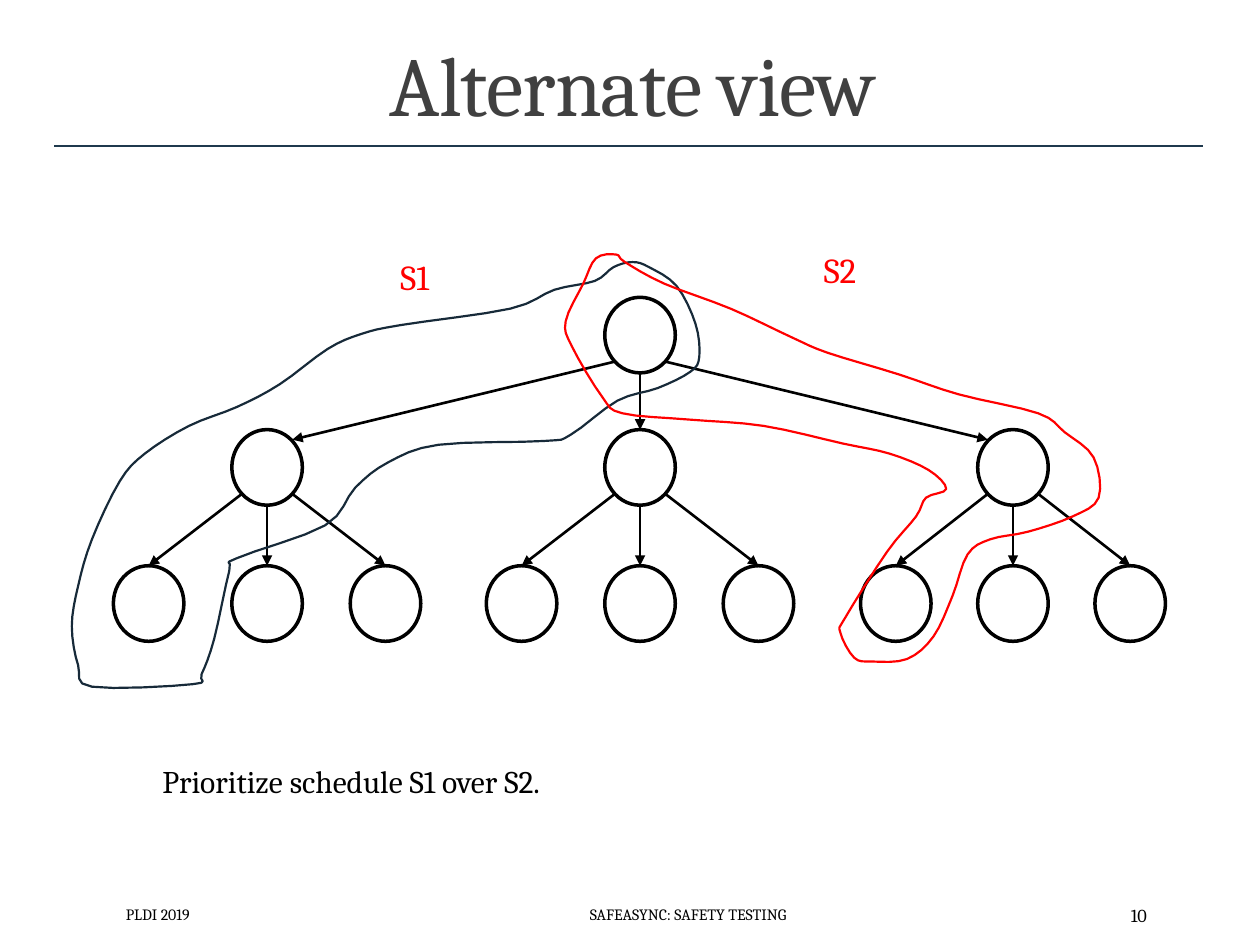
"""Builds a slide with a schedule tree and two outlined schedules."""
from lxml import etree
from pptx import Presentation
from pptx.dml.color import RGBColor as RGB
from pptx.enum.shapes import MSO_CONNECTOR as CONN, MSO_SHAPE as SHAPE
from pptx.enum.text import MSO_ANCHOR as ANCHOR, PP_ALIGN as ALIGN
from pptx.oxml.ns import qn
from pptx.util import Inches, Pt

INK = {"title": "404040", "text": "000000", "rule": "1F394D",
       "first": "172A39", "red": "FF0000"}
WIDE, HIGH = 0.56, 0.6
ROOT = (5.08, 2.66)
GAPS = {2.12: 0.94, 5.08: 0.94, 8.04: 0.93}
MID, LEAF = 3.71, 4.79
FIRST = [
    (5.02, 2.08), (4.87, 2.12), (4.72, 2.23), (4.4, 2.3), (4.05, 2.45),
    (3.18, 2.58), (2.87, 2.65), (2.6, 2.77), (2.22, 3.05), (1.88, 3.23),
    (1.5, 3.38), (1.15, 3.6), (0.95, 3.82), (0.73, 4.28), (0.62, 4.65),
    (0.57, 4.97), (0.62, 5.28), (0.73, 5.45), (1.53, 5.43), (1.6, 5.35),
    (1.7, 5.07), (1.82, 4.53), (1.88, 4.43), (2.58, 4.17), (2.82, 3.87),
    (3.08, 3.67), (3.48, 3.53), (4.32, 3.5), (4.53, 3.45), (4.9, 3.18),
    (5.22, 3.08), (5.48, 2.95), (5.55, 2.83), (5.52, 2.57), (5.37, 2.27),
    (5.15, 2.12)]
SECOND = [
    (4.89, 2.02), (4.73, 2.05), (4.63, 2.25), (4.49, 2.55), (4.54, 2.75),
    (4.78, 3.15), (4.94, 3.28), (5.47, 3.33), (6.06, 3.38), (6.69, 3.52),
    (7.06, 3.6), (7.37, 3.73), (7.51, 3.88), (7.35, 3.95), (7.27, 4.1),
    (7.04, 4.38), (6.71, 4.9), (6.67, 5.02), (6.78, 5.22), (6.92, 5.25),
    (7.2, 5.23), (7.41, 5.05), (7.56, 4.73), (7.68, 4.4), (7.86, 4.28),
    (8.16, 4.22), (8.51, 4.1), (8.72, 3.95), (8.68, 3.63), (8.45, 3.43),
    (8.24, 3.28), (7.61, 3.13), (7.13, 2.97), (6.57, 2.8), (6.29, 2.68),
    (5.8, 2.45), (5.27, 2.25), (4.96, 2.08)]


def text(slide, words, box, size, ink="text", align=ALIGN.LEFT,
         anchor=ANCHOR.MIDDLE, wrap=True):
    """Add a text box and return its paragraph."""
    frame = slide.shapes.add_textbox(*map(Inches, box)).text_frame
    frame.text = words
    frame.word_wrap = wrap
    frame.vertical_anchor = anchor
    para = frame.paragraphs[0]
    para.alignment = align
    font = para.runs[0].font
    font.name, font.size = "Cambria", Pt(size)
    font.color.rgb = RGB.from_string(INK[ink])
    return para


def stroke(shape, ink, width):
    """Set the line of a shape."""
    shape.line.color.rgb = RGB.from_string(INK[ink])
    shape.line.width = Pt(width)


def node(slide, x, y):
    """Add a hollow tree node centred on a point."""
    box = (x - WIDE / 2, y - HIGH / 2, WIDE, HIGH)
    oval = slide.shapes.add_shape(SHAPE.OVAL, *map(Inches, box))
    oval.shadow.inherit = False
    oval.fill.background()
    stroke(oval, "text", 2)


def line(slide, start, end, ink="text", width=1.5, arrow=True):
    """Add a straight line, with an arrowhead if wanted."""
    link = slide.shapes.add_connector(
        CONN.STRAIGHT, *map(Inches, (*start, *end)))
    stroke(link, ink, width)
    props = link._element.spPr
    if arrow:
        head = etree.SubElement(props.find(qn("a:ln")), qn("a:tailEnd"))
        head.set("type", "triangle")
    etree.SubElement(props, qn("a:effectLst"))


def smooth(points):
    """Yield points along a soft curve through the given ones."""
    count = len(points)
    for i in range(count):
        quad = [points[(i + k) % count] for k in (-1, 0, 1, 2)]
        for step in range(4):
            t = step / 4
            yield tuple(
                b + t * (c - a) / 2
                + t * t * (a - 2.5 * b + 2 * c - d / 2)
                + t ** 3 * (3 * (b - c) + d - a) / 2
                for a, b, c, d in zip(*quad))


def loop(slide, points, ink):
    """Add a closed hollow outline through the points."""
    start, *rest = [(Inches(x), Inches(y)) for x, y in smooth(points)]
    pen = slide.shapes.build_freeform(*start)
    pen.add_line_segments(rest, close=True)
    shape = pen.convert_to_shape()
    shape.shadow.inherit = False
    shape.fill.background()
    stroke(shape, ink, 1.25)


def rim(x, y, side):
    """Return the point on a node's lower rim for side -1, 0 or 1."""
    return x + 0.2 * side, y + (0.21 if side else HIGH / 2)


def tree(slide):
    """Draw the nodes and arrows of the whole tree."""
    sides = (-1, 0, 1)
    node(slide, *ROOT)
    for side, (x, gap) in zip(sides, GAPS.items()):
        node(slide, x, MID)
        top = MID - (0.22 if side else HIGH / 2)
        line(slide, rim(*ROOT, side), (x - 0.2 * side, top))
        for turn in sides:
            leaf = x + turn * gap
            node(slide, leaf, LEAF)
            line(slide, rim(x, MID, turn), (leaf, LEAF - HIGH / 2))


def main():
    """Build and save the slide."""
    deck = Presentation()
    deck.slide_width, deck.slide_height = Inches(10), Inches(7.5)
    slide = deck.slides.add_slide(deck.slide_layouts[6])
    line(slide, (0.43, 1.16), (9.55, 1.16), "rule", 1, False)
    title = text(slide, "Alternate view", (0.9, 0.23, 8.25, 0.88), 48,
                 "title", ALIGN.CENTER, ANCHOR.BOTTOM)
    title.line_spacing = 0.85
    title.runs[0].font._element.set("spc", "-50")
    for words, left, width, size, align in (
            ("PLDI 2019", 0.9, 2.03, 9, ALIGN.LEFT),
            ("SAFEASYNC: SAFETY TESTING", 2.99, 4.94, 9, ALIGN.CENTER),
            ("10", 8.12, 1.08, 10.5, ALIGN.RIGHT)):
        text(slide, words, (left, 7.06, width, 0.4), size, align=align)
    tree(slide)
    text(slide, "Prioritize schedule S1 over S2.", (1.19, 6, 3.63, 0.4), 18,
         anchor=ANCHOR.TOP, wrap=False)
    loop(slide, FIRST, "first")
    loop(slide, SECOND, "red")
    for name, x, y in (("S1", 3.08, 1.98), ("S2", 6.44, 1.92)):
        text(slide, name, (x, y, 0.48, 0.44), 20, "red",
             anchor=ANCHOR.TOP, wrap=False)
    deck.save("out.pptx")


if __name__ == "__main__":
    main()
